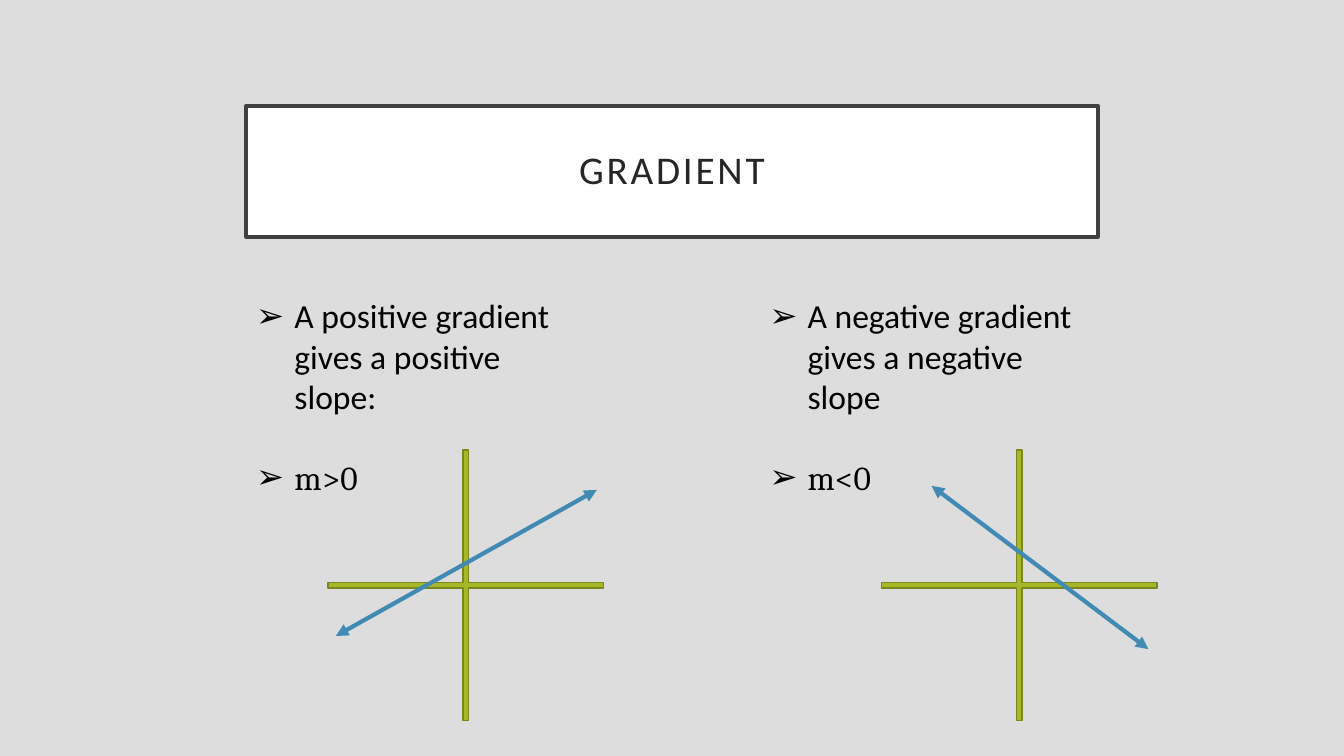
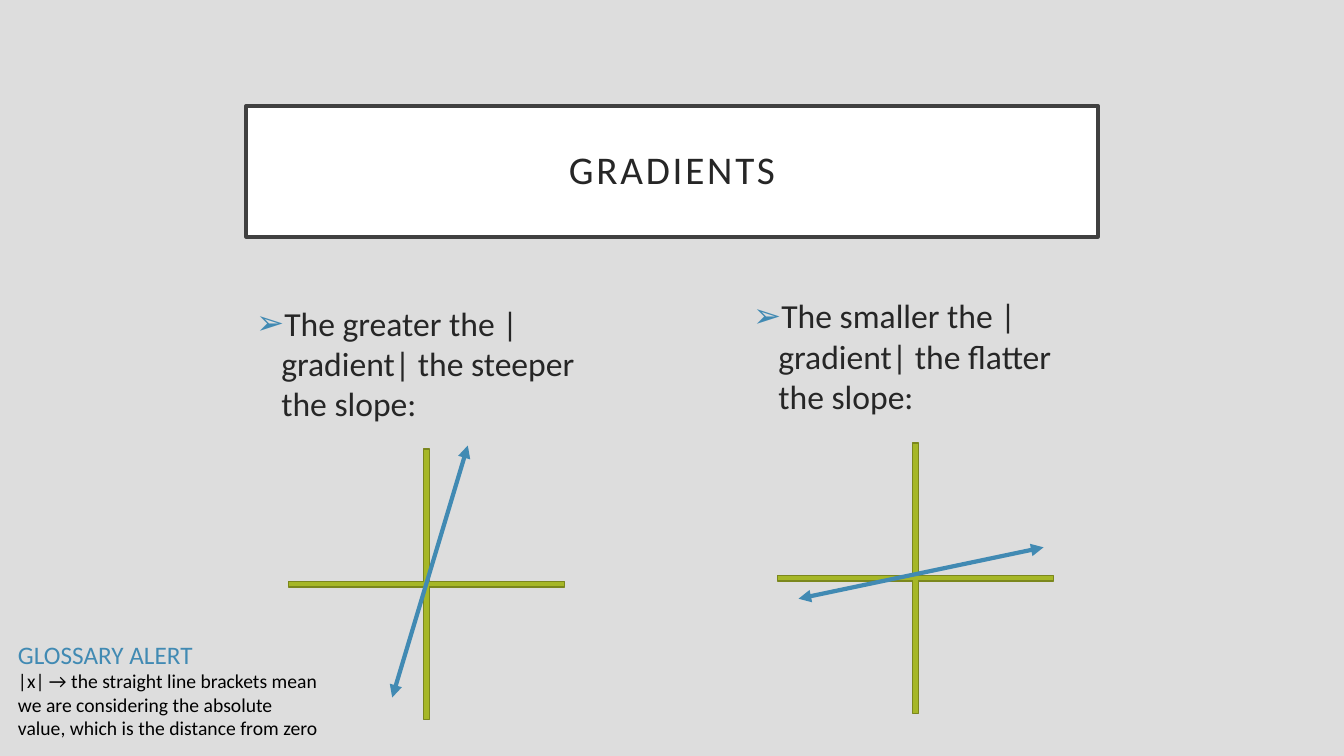
from lxml.etree import SubElement
from pptx import Presentation
from pptx.dml.color import RGBColor
from pptx.enum.shapes import MSO_CONNECTOR, MSO_SHAPE
from pptx.enum.text import MSO_ANCHOR, MSO_AUTO_SIZE, PP_ALIGN
from pptx.oxml.ns import qn
from pptx.util import Inches, Pt

COLORS = {
    "back": "DDDDDD", "white": "FFFFFF", "frame": "404040", "ink": "262626",
    "black": "000000", "blue": "418AB3", "green": "A6B727", "edge": "7B871D",
}
RGB = {name: RGBColor.from_string(code) for name, code in COLORS.items()}
PLUS = 3.72, 3.65

# Lists: box, indent, text colour, bullet colour, lines with their fonts
# Graphs: left and top of the axes, then start and end of the slope line
SLIDES = [
    {
        "title": "GRADIENT",
        "lists": [
            ((2.44, 2.88, 3.36, 4.14), 0.38, "black", "black",
             [("A positive gradient gives a positive slope:", "Calibri"),
              ("m>0", "Cambria")]),
            ((7.53, 2.88, 3.28, 2.52), 0.38, "black", "black",
             [("A negative gradient gives a negative slope", "Calibri"),
              ("m<0", "Cambria")]),
        ],
        "graphs": [
            ((2.76, 3.98), (5.92, 4.86), (3.33, 6.31)),
            ((8.25, 3.98), (9.24, 4.82), (11.39, 6.44)),
        ],
    },
    {
        "title": "GRADIENTS",
        "lists": [
            ((2.44, 2.95, 3.59, 3.39), 0.25, "ink", "blue",
             [("The greater the |gradient| the steeper the slope:", "Calibri")]),
            ((7.37, 2.88, 3.59, 3.39), 0.25, "ink", "blue",
             [("The smaller the |gradient| the flatter the slope:", "Calibri")]),
        ],
        "graphs": [
            ((2.37, 3.97), (4.64, 4.42), (3.89, 6.92)),
            ((7.22, 3.91), (10.35, 5.43), (7.92, 5.94)),
        ],
    },
]
GLOSSARY = [
    ("GLOSSARY ALERT", 18, "blue"),
    ("|x| → the straight line brackets mean we are considering the absolute "
     "value, which is the distance from zero", 14, "black"),
]


def place(shape, box):
    shape.left, shape.top, shape.width, shape.height = map(Inches, box)


def add_run(para, text, size, color, face="Calibri"):
    run = para.add_run()
    run.text = text
    run.font.size = Pt(size)
    run.font.name = face
    run.font.color.rgb = RGB[color]
    return run


prs = Presentation()
prs.slide_width, prs.slide_height = Inches(13.33), Inches(7.5)
back = prs.slide_master.background.fill
back.solid()
back.fore_color.rgb = RGB["back"]
layout = prs.slide_layouts.get_by_name("Two Content")

for data in SLIDES:
    slide = prs.slides.add_slide(layout)

    title = slide.shapes.title
    place(title, (2.44, 1.05, 8.45, 1.3))
    title.fill.solid()
    title.fill.fore_color.rgb = RGB["white"]
    title.line.color.rgb = RGB["frame"]
    title.line.width = Pt(2.5)
    frame = title.text_frame
    frame.auto_size = MSO_AUTO_SIZE.NONE
    frame.vertical_anchor = MSO_ANCHOR.MIDDLE
    frame.margin_left = frame.margin_right = Inches(0.2)
    frame.margin_top = frame.margin_bottom = Inches(0.2)
    para = frame.paragraphs[0]
    para.alignment = PP_ALIGN.CENTER
    para.line_spacing = 0.9
    run = add_run(para, data["title"], 28, "ink")
    run.font._element.set("spc", "200")

    for index, (box, indent, color, mark, lines) in enumerate(data["lists"], 1):
        body = slide.placeholders[index]
        place(body, box)
        frame = body.text_frame
        frame.auto_size = MSO_AUTO_SIZE.NONE
        for row, (text, face) in enumerate(lines):
            para = frame.add_paragraph() if row else frame.paragraphs[0]
            props = para._p.get_or_add_pPr()
            props.set("marL", str(Inches(indent)))
            props.set("indent", str(-Inches(indent)))
            tint = SubElement(props, qn("a:buClr"))
            SubElement(tint, qn("a:srgbClr"), val=COLORS[mark])
            SubElement(props, qn("a:buChar"), char="➢")
            para.space_before = Pt(29 if row else 0)
            add_run(para, text, 24, color, face)

    for corner, start, end in data["graphs"]:
        graph = slide.shapes.add_group_shape()
        axes = graph.shapes.add_shape(
            MSO_SHAPE.MATH_PLUS, *map(Inches, corner + PLUS))
        axes.adjustments[0] = 0.015
        axes.shadow.inherit = False
        axes.fill.solid()
        axes.fill.fore_color.rgb = RGB["green"]
        axes.line.color.rgb = RGB["edge"]
        axes.line.width = Pt(1)

        slope = graph.shapes.add_connector(
            MSO_CONNECTOR.STRAIGHT, *map(Inches, start + end))
        slope.line.color.rgb = RGB["blue"]
        slope.line.width = Pt(3)
        stroke = slope.line._get_or_add_ln()
        for tip in ("a:headEnd", "a:tailEnd"):
            SubElement(stroke, qn(tip), type="triangle")
        SubElement(slope._element.spPr, qn("a:effectLst"))

note = slide.shapes.add_textbox(*map(Inches, (0.08, 6.29, 3.22, 1.11)))
frame = note.text_frame
frame.word_wrap = True
for row, (text, size, color) in enumerate(GLOSSARY):
    para = frame.add_paragraph() if row else frame.paragraphs[0]
    add_run(para, text, size, color)

prs.save("out.pptx")
